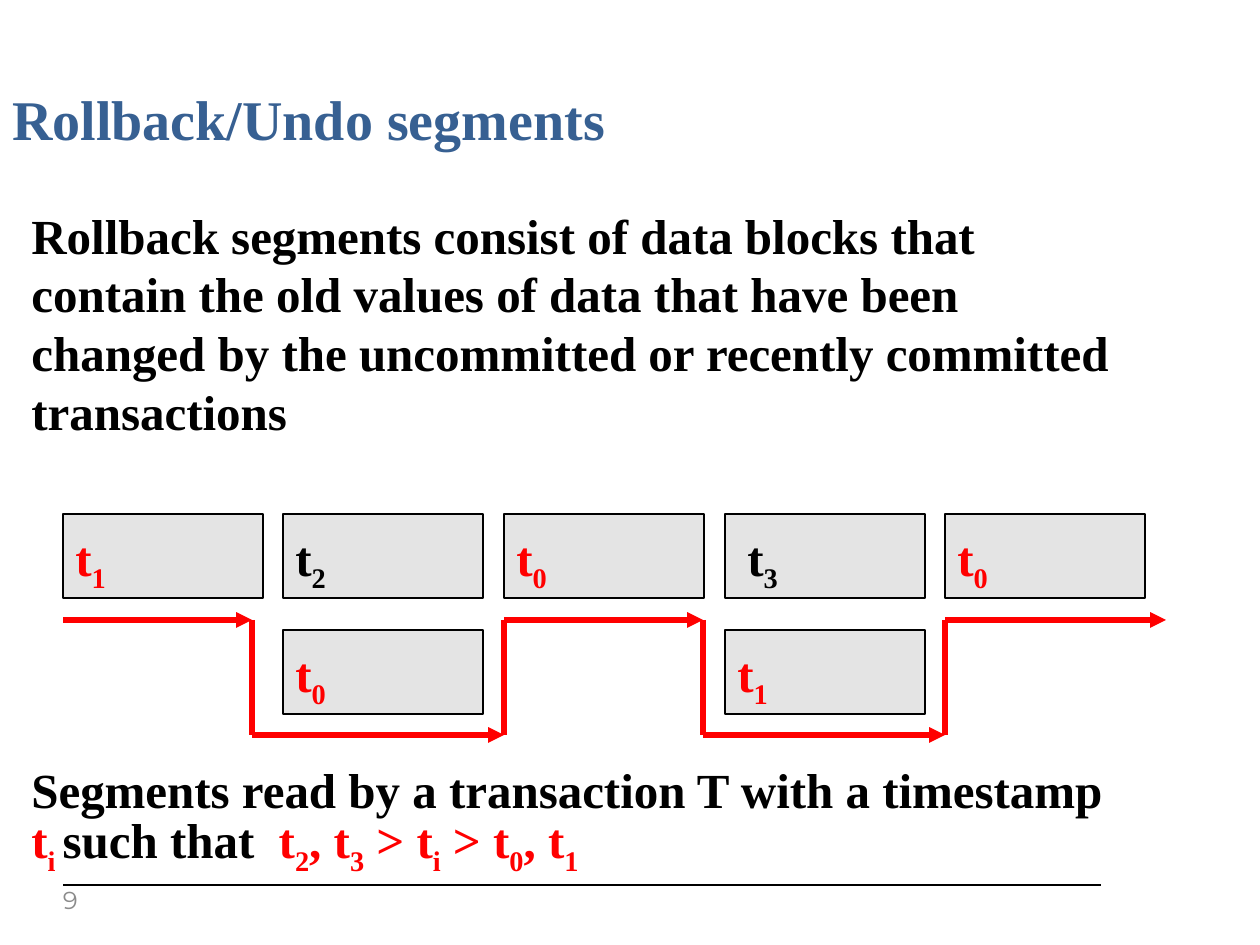
from dataclasses import dataclass
from itertools import pairwise

from lxml import etree
from pptx import Presentation
from pptx import util as u
from pptx.dml.color import RGBColor
from pptx.enum import shapes, text
from pptx.oxml.ns import qn

EMU_PER_PX = 914400 / 126


@dataclass(frozen=True)
class Theme:
    serif: str = "Times New Roman"
    sans: str = "Montserrat"
    title: str = "376092"
    ink: str = "000000"
    accent: str = "FF0000"
    block: str = "E4E4E4"
    muted: str = "8B8B8B"
    title_size: int = 32
    body_size: int = 28
    number_size: int = 14
    thin: float = 0.75
    thick: float = 3


THEME = Theme()


def px(value):
    return u.Emu(round(value * EMU_PER_PX))


def color(value):
    return RGBColor.from_string(value)


def add_text_box(slide, left, top, width, height):
    shape = slide.shapes.add_textbox(px(left), px(top), px(width), px(height))
    shape.text_frame.word_wrap = True
    return shape.text_frame


def style_paragraph(paragraph, size, fill=None):
    paragraph.line_spacing = u.Pt(size * 1.2)
    paragraph.font.name = THEME.serif
    paragraph.font.size = u.Pt(size)
    paragraph.font.bold = True
    if fill:
        paragraph.font.color.rgb = color(fill)


def add_lines(frame, lines, size, fill):
    for index, line in enumerate(lines):
        paragraph = frame.add_paragraph() if index else frame.paragraphs[0]
        paragraph.text = line
        style_paragraph(paragraph, size, fill)


def add_run(paragraph, content, fill, subscript=False):
    run = paragraph.add_run()
    run.text = content
    run.font.color.rgb = color(fill)
    if subscript:
        run._r.get_or_add_rPr().set("baseline", "-25000")


def add_timestamp(paragraph, index, fill, prefix=""):
    add_run(paragraph, prefix + "t", fill)
    add_run(paragraph, index, fill, subscript=True)


def add_block(slide, left, top, index, fill, indent=0):
    shape = slide.shapes.add_shape(
        shapes.MSO_SHAPE.RECTANGLE, px(left), px(top), px(200), px(84))
    shape.shadow.inherit = False
    shape.fill.solid()
    shape.fill.fore_color.rgb = color(THEME.block)
    shape.line.color.rgb = color(THEME.ink)
    shape.line.width = u.Pt(THEME.thin)
    frame = add_text_box(slide, left + indent, top + 15, 60, 72)
    paragraph = frame.paragraphs[0]
    style_paragraph(paragraph, THEME.body_size)
    add_timestamp(paragraph, index, fill)


def add_line(slide, start, end, fill, width, arrow=False):
    connector = slide.shapes.add_connector(
        shapes.MSO_CONNECTOR.STRAIGHT, *map(px, (*start, *end)))
    connector.line.color.rgb = color(fill)
    connector.line.width = u.Pt(width)
    if arrow:
        line = connector.line._get_or_add_ln()
        etree.SubElement(line, qn("a:tailEnd"), type="triangle")
    etree.SubElement(connector._element.spPr, qn("a:effectLst"))


def add_blocks(slide):
    columns = [63 + round(220.5 * column) for column in range(5)]
    upper = [("1", THEME.accent, 0), ("2", THEME.ink, 0), ("0", THEME.accent, 0),
             ("3", THEME.ink, 10), ("0", THEME.accent, 0)]
    for left, (index, fill, indent) in zip(columns, upper):
        add_block(slide, left, 514, index, fill, indent)
    for left, index in zip(columns[1::2], "01"):
        add_block(slide, left, 630, index, THEME.accent)


def add_read_route(slide):
    turns = [63, 252, 504, 703, 945, 1166]
    levels = [620, 735]
    points = []
    for step, (start, end) in enumerate(pairwise(turns)):
        level = levels[step % 2]
        points += [(start, level), (end, level)]
    for start, end in pairwise(points):
        add_line(slide, start, end, THEME.accent, THEME.thick,
                 arrow=start[1] == end[1])


def add_caption(slide):
    frame = add_text_box(slide, 19, 753, 1109, 131)
    add_lines(frame, ["Segments read by a transaction T with a timestamp"],
              THEME.body_size, THEME.ink)
    paragraph = frame.add_paragraph()
    style_paragraph(paragraph, THEME.body_size)
    add_timestamp(paragraph, "i ", THEME.accent)
    add_run(paragraph, "such that", THEME.ink)
    for prefix, index in [("  ", "2"), (", ", "3"), (" > ", "i"),
                          (" > ", "0"), (", ", "1")]:
        add_timestamp(paragraph, index, THEME.accent, prefix)


def add_page_number(slide):
    frame = add_text_box(slide, 63, 890, 50, 26)
    frame.margin_left = frame.margin_top = 0
    frame.vertical_anchor = text.MSO_ANCHOR.MIDDLE
    paragraph = frame.paragraphs[0]
    paragraph.text = "9"
    paragraph.font.name = THEME.sans
    paragraph.font.size = u.Pt(THEME.number_size)
    paragraph.font.color.rgb = color(THEME.muted)


def main():
    presentation = Presentation()
    presentation.slide_width = px(1260)
    presentation.slide_height = px(945)
    slide = presentation.slides.add_slide(presentation.slide_layouts[6])

    add_line(slide, (63, 885), (1101, 885), THEME.ink, THEME.thin)
    add_lines(add_text_box(slide, 19, 199, 1115, 251), [
        "Rollback segments consist of data blocks that",
        "contain the old values of data that have been",
        "changed by the uncommitted or recently committed",
        "transactions",
    ], THEME.body_size, THEME.ink)
    add_blocks(slide)
    add_read_route(slide)
    add_caption(slide)
    add_lines(add_text_box(slide, 0, 78, 1260, 84),
              ["Rollback/Undo segments"], THEME.title_size, THEME.title)
    add_page_number(slide)

    presentation.save("out.pptx")


if __name__ == "__main__":
    main()
